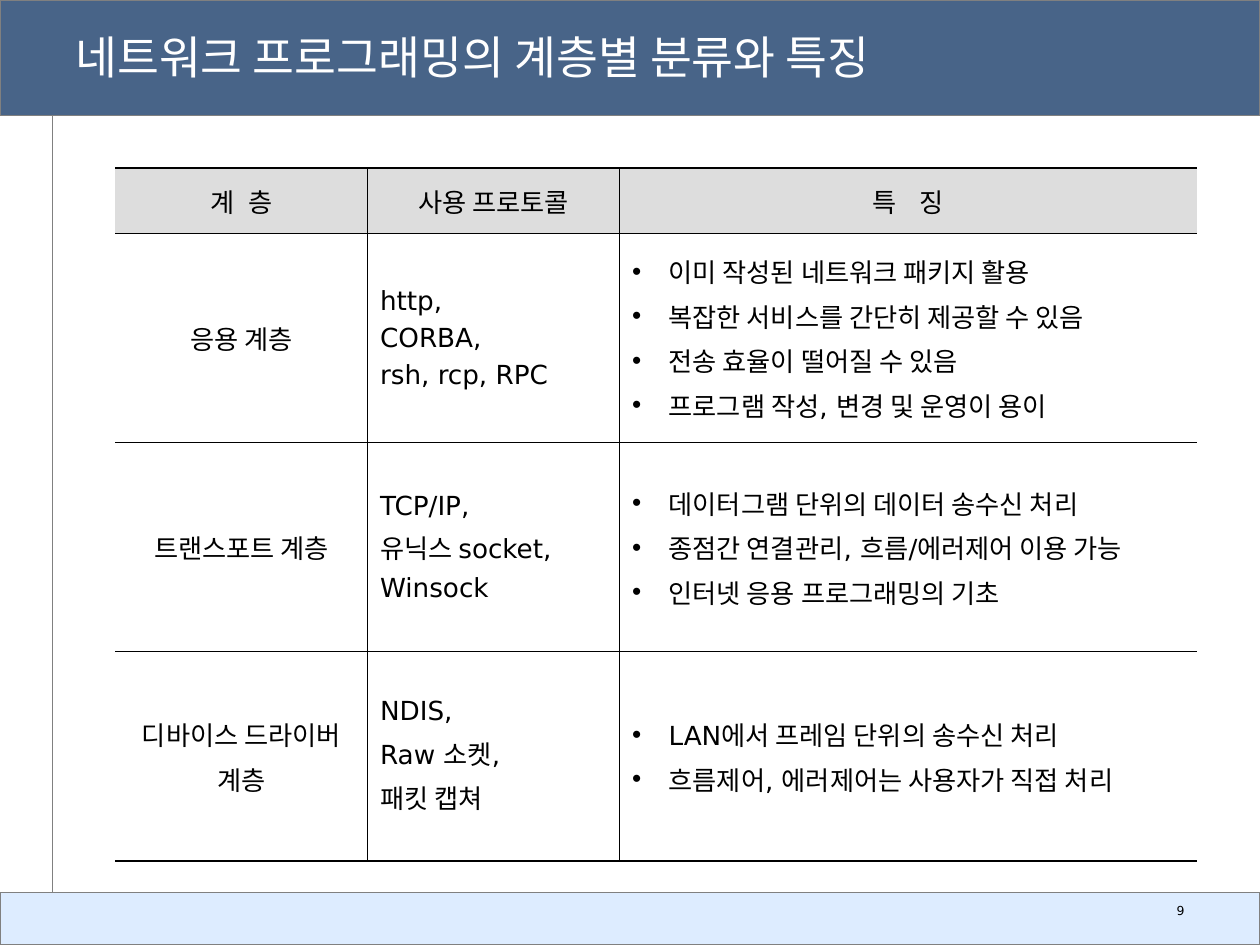
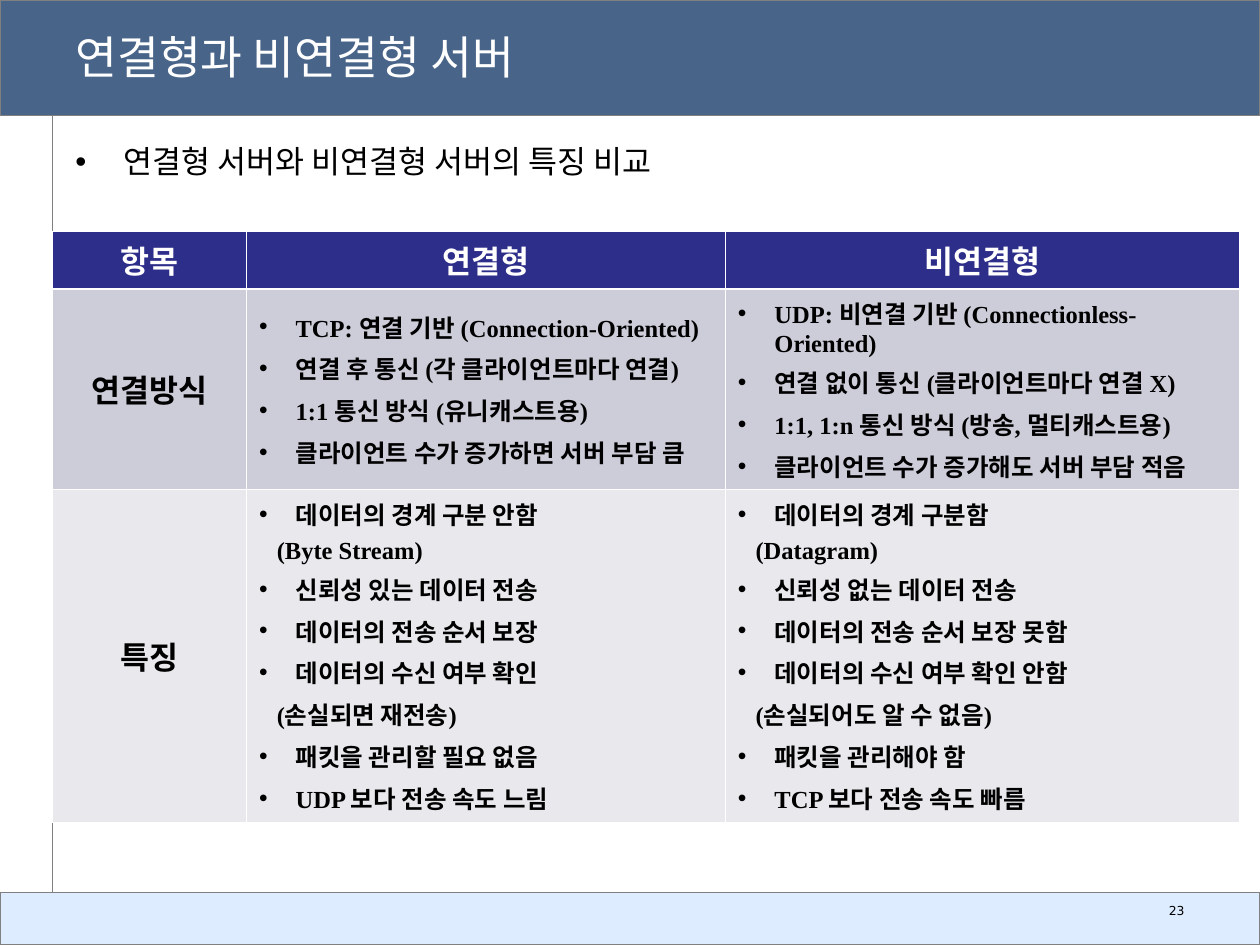
import pptx
import pptx.dml.color
import pptx.enum.shapes
import pptx.enum.text
import pptx.oxml.ns
import pptx.util
from dataclasses import dataclass
from lxml import etree

LAYER_ROWS = [
    (["계 층"], ["사용 프로토콜"], ["특 징"]),
    (["응용 계층"],
     ["http,", "CORBA,", "rsh, rcp, RPC"],
     ["• 이미 작성된 네트워크 패키지 활용",
      "• 복잡한 서비스를 간단히 제공할 수 있음",
      "• 전송 효율이 떨어질 수 있음",
      "• 프로그램 작성, 변경 및 운영이 용이"]),
    (["트랜스포트 계층"],
     ["TCP/IP,", "유닉스 socket,", "Winsock"],
     ["• 데이터그램 단위의 데이터 송수신 처리",
      "• 종점간 연결관리, 흐름/에러제어 이용 가능",
      "• 인터넷 응용 프로그래밍의 기초"]),
    (["디바이스 드라이버", "계층"],
     ["NDIS,", "Raw 소켓,", "패킷 캡쳐"],
     ["• LAN에서 프레임 단위의 송수신 처리",
      "• 흐름제어, 에러제어는 사용자가 직접 처리"]),
]
SERVER_ROWS = [
    (["항목"], ["연결형"], ["비연결형"]),
    (["연결방식"],
     ["• TCP: 연결 기반 (Connection-Oriented)",
      "• 연결 후 통신 (각 클라이언트마다 연결)",
      "• 1:1 통신 방식 (유니캐스트용)",
      "• 클라이언트 수가 증가하면 서버 부담 큼"],
     ["• UDP: 비연결 기반 (Connectionless-Oriented)",
      "• 연결 없이 통신 (클라이언트마다 연결 X)",
      "• 1:1, 1:n 통신 방식 (방송, 멀티캐스트용)",
      "• 클라이언트 수가 증가해도 서버 부담 적음"]),
    (["특징"],
     ["• 데이터의 경계 구분 안함", "(Byte Stream)",
      "• 신뢰성 있는 데이터 전송",
      "• 데이터의 전송 순서 보장",
      "• 데이터의 수신 여부 확인", "(손실되면 재전송)",
      "• 패킷을 관리할 필요 없음",
      "• UDP 보다 전송 속도 느림"],
     ["• 데이터의 경계 구분함", "(Datagram)",
      "• 신뢰성 없는 데이터 전송",
      "• 데이터의 전송 순서 보장 못함",
      "• 데이터의 수신 여부 확인 안함", "(손실되어도 알 수 없음)",
      "• 패킷을 관리해야 함",
      "• TCP 보다 전송 속도 빠름"]),
]
LETTER_SPACING = {"계 층": 240, "특 징": 480}


@dataclass(frozen=True)
class Theme:
    width: float = 10
    height: float = 7.5
    header_height: float = 11 / 12
    footer_top: float = 85 / 12
    rail: float = 5 / 12
    header: str = "486488"
    footer: str = "DDECFF"
    outline: str = "808080"
    ink: str = "000000"
    paper: str = "FFFFFF"
    font: str = "DejaVu Sans"
    title_size: float = 26
    body_size: float = 18
    page_size: float = 7.1
    bullet_indent: float = 0.29
    cell_right_margin: float = 0.13


@dataclass(frozen=True)
class TableStyle:
    font: str
    bold: bool
    header_ink: str
    label_size: float
    text_size: float
    space_before: float
    note_indent: float
    row_fills: tuple
    border: str
    heavy_edges: dict
    outer_sides: bool


THEME = Theme()
LAYER_STYLE = TableStyle(THEME.font, False, THEME.ink, 15, 15, 3.7, 0,
                         ("DDDDDD", None, None, None), THEME.ink,
                         {0: 1.08, 4: 1.08}, False)
SERVER_STYLE = TableStyle("Times New Roman", True, THEME.paper, 18, 14, 3.5, 0.14,
                          ("2D2D8A", "CDCDDA", "E8E8ED"), THEME.paper,
                          {1: 1.47}, True)

inches = pptx.util.Inches
color = pptx.dml.color.RGBColor.from_string
ALIGN = pptx.enum.text.PP_ALIGN
MIDDLE = pptx.enum.text.MSO_ANCHOR.MIDDLE


def add_element(parent, tag, **attributes):
    return etree.SubElement(parent, pptx.oxml.ns.qn(tag), attributes)


def set_indent(paragraph, left, bullet=False):
    properties = paragraph._p.get_or_add_pPr()
    properties.set("marL", str(inches(left)))
    properties.set("indent", str(-inches(left) if bullet else 0))
    if bullet:
        bullet_color = add_element(properties, "a:buClr")
        add_element(bullet_color, "a:srgbClr", val=THEME.ink)
        add_element(properties, "a:buFont", typeface="Arial")
        add_element(properties, "a:buChar", char="•")


def format_runs(paragraph, size, ink, font=THEME.font, bold=False):
    for run in paragraph.runs:
        run.font.size = pptx.util.Pt(size)
        run.font.name = font
        run.font.bold = bold
        run.font.color.rgb = color(ink)
        if run.text in LETTER_SPACING:
            run._r.get_or_add_rPr().set("spc", str(LETTER_SPACING[run.text]))


def add_text(slide, box, text, size, ink):
    shape = slide.shapes.add_textbox(*map(inches, box))
    shape.text_frame.word_wrap = True
    shape.text_frame.text = text
    paragraph = shape.text_frame.paragraphs[0]
    format_runs(paragraph, size, ink)
    return shape.text_frame, paragraph


def add_band(slide, top, height, fill):
    shape = slide.shapes.add_shape(pptx.enum.shapes.MSO_SHAPE.RECTANGLE, 0,
                                   inches(top), inches(THEME.width), inches(height))
    shape.shadow.inherit = False
    shape.fill.solid()
    shape.fill.fore_color.rgb = color(fill)
    shape.line.color.rgb = color(THEME.outline)
    shape.line.width = pptx.util.Pt(0.75)


def add_frame(presentation, title, page):
    slide = presentation.slides.add_slide(presentation.slide_layouts[6])
    add_band(slide, THEME.footer_top, THEME.height - THEME.footer_top, THEME.footer)
    add_band(slide, 0, THEME.header_height, THEME.header)
    rail = slide.shapes.add_connector(
        pptx.enum.shapes.MSO_CONNECTOR.STRAIGHT, inches(THEME.rail),
        inches(THEME.header_height), inches(THEME.rail), inches(THEME.footer_top))
    rail.line.color.rgb = color(THEME.outline)
    rail.line.width = pptx.util.Pt(0.75)
    add_element(rail._element.spPr, "a:effectLst")
    frame, _ = add_text(slide, (0.5, 0.16, 9, 0.58), title,
                        THEME.title_size, THEME.paper)
    frame.vertical_anchor = MIDDLE
    _, paragraph = add_text(slide, (7.17, 7.14, 2.33, 0.25), str(page),
                            THEME.page_size, THEME.ink)
    paragraph.alignment = ALIGN.RIGHT
    paragraph.line_spacing = 0.8
    return slide


def set_border(cell, side, ink, width):
    line = add_element(cell._tc.get_or_add_tcPr(), f"a:ln{side}",
                       w=str(pptx.util.Pt(width)))
    if width:
        add_element(add_element(line, "a:solidFill"), "a:srgbClr", val=ink)
    else:
        add_element(line, "a:noFill")


def fill_cell(cell, lines, style, is_header, is_label):
    centered = is_header or is_label
    cell.vertical_anchor = MIDDLE
    if not centered:
        cell.margin_right = inches(THEME.cell_right_margin)
    cell.text_frame.text = "\n".join(line.removeprefix("• ") for line in lines)
    for index, (line, paragraph) in enumerate(zip(lines, cell.text_frame.paragraphs)):
        if line.startswith("• "):
            set_indent(paragraph, THEME.bullet_indent, bullet=True)
        elif not centered:
            set_indent(paragraph, style.note_indent)
        paragraph.alignment = ALIGN.CENTER if centered else ALIGN.LEFT
        if index:
            paragraph.space_before = pptx.util.Pt(style.space_before)
        format_runs(paragraph, style.label_size if centered else style.text_size,
                    style.header_ink if is_header else THEME.ink,
                    style.font, style.bold)


def add_grid(slide, left, top, widths, heights, rows, style):
    table = slide.shapes.add_table(
        len(heights), len(widths), inches(left), inches(top),
        inches(sum(widths)), inches(sum(heights))).table
    table.first_row = table.horz_banding = False
    for column, width in zip(table.columns, widths):
        column.width = inches(width)
    for row, height in zip(table.rows, heights):
        row.height = inches(height)
    for row_index, row in enumerate(rows):
        for column_index, lines in enumerate(row):
            cell = table.cell(row_index, column_index)
            fill_cell(cell, lines, style, row_index == 0, column_index == 0)
            for side, edge in (("L", column_index), ("R", column_index + 1)):
                visible = style.outer_sides or 0 < edge < len(widths)
                set_border(cell, side, style.border, 0.45 if visible else 0)
            for side, edge in (("T", row_index), ("B", row_index + 1)):
                set_border(cell, side, style.border, style.heavy_edges.get(edge, 0.45))
            fill = style.row_fills[row_index]
            if fill:
                cell.fill.solid()
                cell.fill.fore_color.rgb = color(fill)
            else:
                cell.fill.background()


def build_layers(presentation):
    slide = add_frame(presentation, "네트워크 프로그래밍의 계층별 분류와 특징", 9)
    add_grid(slide, 11 / 12, 4 / 3, (2, 2, 4.58), (0.52,) + (1.66,) * 3,
             LAYER_ROWS, LAYER_STYLE)


def build_servers(presentation):
    slide = add_frame(presentation, "연결형과 비연결형 서버", 23)
    _, paragraph = add_text(slide, (0.5, 1.08, 9, 0.5),
                            "연결형 서버와 비연결형 서버의 특징 비교",
                            THEME.body_size, THEME.ink)
    set_indent(paragraph, 0.38, bullet=True)
    add_grid(slide, THEME.rail, 11 / 6, (1.54, 3.8, 4.08), (0.46, 1.59, 2.64),
             SERVER_ROWS, SERVER_STYLE)


def main():
    presentation = pptx.Presentation()
    presentation.slide_width = inches(THEME.width)
    presentation.slide_height = inches(THEME.height)
    build_layers(presentation)
    build_servers(presentation)
    presentation.save("out.pptx")


if __name__ == "__main__":
    main()
